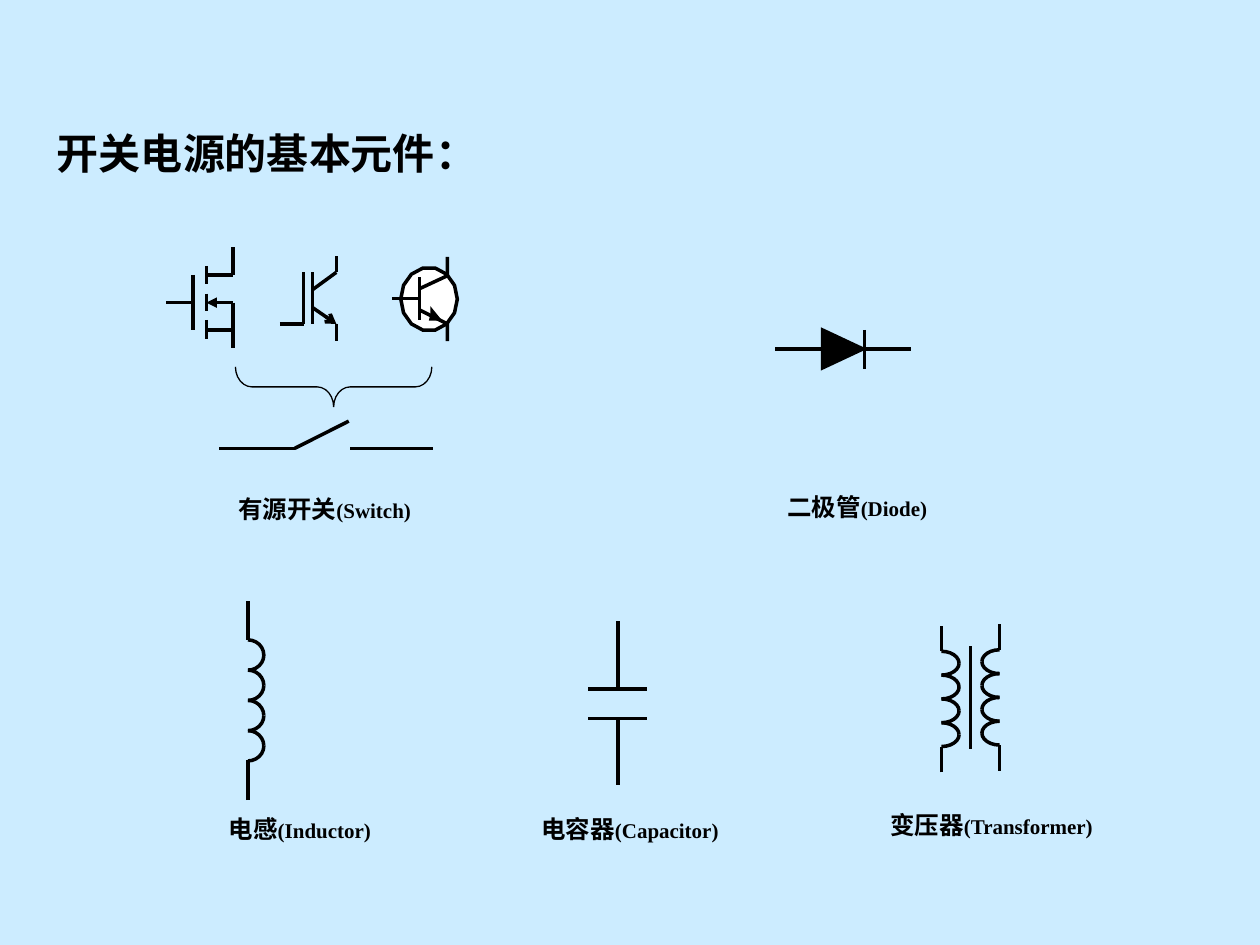
from dataclasses import dataclass
from math import cos, pi, sin

from lxml import etree
from pptx import Presentation
from pptx.dml.color import RGBColor
from pptx.enum.shapes import MSO_CONNECTOR, MSO_SHAPE
from pptx.enum.text import MSO_AUTO_SIZE, PP_ALIGN
from pptx.oxml.ns import qn
from pptx.util import Cm, Pt

STRAIGHT = MSO_CONNECTOR.STRAIGHT
ARC, BRACE, TRIANGLE = MSO_SHAPE.ARC, MSO_SHAPE.RIGHT_BRACE, MSO_SHAPE.ISOSCELES_TRIANGLE
LEFT, CENTER = PP_ALIGN.LEFT, PP_ALIGN.CENTER
GROW = MSO_AUTO_SIZE.SHAPE_TO_FIT_TEXT


@dataclass(frozen=True)
class Theme:
    sky: RGBColor = RGBColor(0xCC, 0xEC, 0xFF)
    ink: RGBColor = RGBColor(0, 0, 0)
    white: RGBColor = RGBColor(0xFF, 0xFF, 0xFF)
    font: str = "Times New Roman"
    title: int = 24
    chinese: int = 14
    english: int = 12
    wire: float = 2
    thin: float = 0.75


theme = Theme()


def ink(shape, fill=None, width=theme.wire):
    """Give a shape a black outline with sharp corners, no shadow and an optional fill."""
    shape.shadow.inherit = False
    if fill is None:
        shape.fill.background()
    else:
        shape.fill.solid()
        shape.fill.fore_color.rgb = fill
    shape.line.color.rgb = theme.ink
    shape.line.width = Pt(width)
    etree.SubElement(shape._element.spPr.find(qn("a:ln")), qn("a:miter"), lim="800000")


def wire(shapes, x1, y1, x2, y2, end=None, arrow=None):
    """Draw a line in cm; end is headEnd (start) or tailEnd (finish)."""
    line = shapes.add_connector(STRAIGHT, Cm(x1), Cm(y1), Cm(x2), Cm(y2))
    line.line.color.rgb = theme.ink
    line.line.width = Pt(theme.wire)
    properties = line._element.spPr
    if end:
        etree.SubElement(properties.find(qn("a:ln")), qn(f"a:{end}"), type=arrow)
    etree.SubElement(properties, qn("a:effectLst"))


deck = Presentation()
deck.slide_width, deck.slide_height = Cm(25.4), Cm(19.05)
page = deck.slides.add_slide(deck.slide_layouts[6])
page.background.fill.solid()
page.background.fill.fore_color.rgb = theme.sky

# Symbols: all positions in cm
SIDES = 14
body = [(8.65 - 0.57 * cos(2 * pi * i / SIDES), 6.03 - 0.64 * sin(2 * pi * i / SIDES))
        for i in range(SIDES + 1)]
emitter_arrow = [(8.71, 6.35), (8.71, 6.27), (8.84, 6.43), (8.69, 6.43), (8.71, 6.35)]

# Outlines: points and fill
outlines = {
    "bipolar": [
        (body, theme.white),
        ([(8.46, 5.82), (9.02, 5.56), (9.02, 5.18)], None),
        ([(8.46, 6.25), (9.02, 6.53), (9.02, 6.88)], None),
        (emitter_arrow, theme.ink),
    ],
}

# Coils: centre x, top, loop width, loop pitch, start angles of the quarter arcs
RIGHT_HALF, LEFT_HALF = (270, 0), (180, 90)
LOOPS = 4
coils = {
    "inductor": [(5, 12.9, 0.64, 0.61, RIGHT_HALF)],
    "transformer": [(18.98, 13.13, 0.71, 0.48, RIGHT_HALF),
                    (20.15, 13.1, 0.71, 0.48, LEFT_HALF)],
}

wires = {
    "bipolar": [(7.9, 6.02, 8.46, 6.02), (8.46, 6.45, 8.46, 5.59)],
    "mosfet": [
        (3.89, 5.54, 3.89, 6.65),
        (4.16, 5.36, 4.16, 5.72),
        (4.16, 5.92, 4.16, 6.27),
        (4.16, 6.45, 4.16, 6.83),
        (4.16, 5.54, 4.7, 5.54),
        (4.7, 5.54, 4.7, 4.98),
        (4.16, 6.1, 4.7, 6.1, "headEnd", "triangle"),
        (4.7, 6.1, 4.7, 7.01),
        (4.16, 6.65, 4.7, 6.65),
        (3.89, 6.1, 3.35, 6.1),
    ],
    "igbt": [
        (5.64, 6.53, 6.12, 6.53),
        (6.12, 5.49, 6.12, 6.53),
        (6.3, 5.49, 6.3, 6.53),
        (6.3, 5.84, 6.78, 5.49),
        (6.78, 5.49, 6.78, 5.16),
        (6.78, 6.53, 6.78, 6.88),
        (6.3, 6.2, 6.78, 6.53, "tailEnd", "arrow"),
    ],
    "diode": [(16.59, 7.04, 15.62, 7.04), (17.43, 7.04, 18.36, 7.04),
              (17.43, 6.65, 17.43, 7.44)],
    "inductor": [(5, 16.13, 5, 15.32), (5, 12.9, 5, 12.12)],
    "capacitor": [(11.86, 13.89, 13.05, 13.89), (11.86, 14.48, 13.05, 14.48),
                  (12.46, 14.48, 12.46, 15.82), (12.46, 12.52, 12.46, 13.89)],
    "switch": [(4.42, 9.04, 5.94, 9.04), (7.06, 9.04, 8.73, 9.04),
               (5.94, 9.04, 7.03, 8.49)],
    "transformer": [(18.98, 13.13, 18.98, 12.62), (18.98, 15.57, 18.98, 15.06),
                    (20.15, 13.1, 20.15, 12.57), (20.15, 15.54, 20.15, 15.02),
                    (19.56, 15.09, 19.56, 13.03)],
}

for name, lines in wires.items():
    shapes = page.shapes.add_group_shape().shapes
    for points, fill in outlines.get(name, []):
        corners = [(Cm(x), Cm(y)) for x, y in points]
        builder = shapes.build_freeform(*corners[0])
        builder.add_line_segments(corners[1:], close=False)
        ink(builder.convert_to_shape(), fill)
    for x, top, width, pitch, starts in coils.get(name, []):
        for loop in range(LOOPS):
            for start in starts:
                arc = shapes.add_shape(ARC, Cm(x - width / 2), Cm(top + loop * pitch),
                                       Cm(width), Cm(pitch))
                # 0.6 adjustment units make one degree
                arc.adjustments[0] = start * 0.6
                arc.adjustments[1] = (start + 90) % 360 * 0.6
                ink(arc)
    if name == "diode":
        triangle = shapes.add_shape(TRIANGLE, Cm(16.61), Cm(6.63), Cm(0.76), Cm(0.81))
        triangle.rotation = 90
        ink(triangle, theme.ink)
    for line in lines:
        wire(shapes, *line)

brace = page.shapes.add_shape(BRACE, Cm(6.32), Cm(5.82), Cm(0.81), Cm(3.96))
brace.rotation = 90
brace.adjustments[0] = 0.41
ink(brace, width=theme.thin)

# Texts: left, top, width, height, wrap, alignment, space before, runs
texts = [
    (0.9, 2.44, 10.13, 1.27, True, LEFT, 15, [("开关电源的基本元件：", theme.title)]),
]
for left, top, width, wrap, before, chinese, english in [
    (4.48, 9.83, 4.13, False, 0, "有源开关", "(Switch)"),
    (15.26, 9.8, 4.04, True, 7.5, "二极管", "(Diode)"),
    (2.97, 16.28, 6.15, True, 7.5, "电感", "(Inductor)"),
    (10.56, 16.28, 4.28, False, 0, "电容器", "(Capacitor)"),
    (17.6, 16.21, 4.78, False, 0, "变压器", "(Transformer)"),
]:
    texts.append((left, top, width, 0.86, wrap, CENTER, before,
                  [(chinese, theme.chinese), (english, theme.english)]))

for left, top, width, height, wrap, alignment, before, runs in texts:
    box = page.shapes.add_textbox(Cm(left), Cm(top), Cm(width), Cm(height))
    frame = box.text_frame
    frame.word_wrap = wrap
    frame.auto_size = GROW
    para = frame.paragraphs[0]
    para.alignment = alignment
    para.space_before = Pt(before)
    for words, size in runs:
        span = para.add_run()
        span.text = words
        for key, value in {"name": theme.font, "size": Pt(size), "bold": True}.items():
            setattr(span.font, key, value)
        span.font.color.rgb = theme.ink

deck.save("out.pptx")
